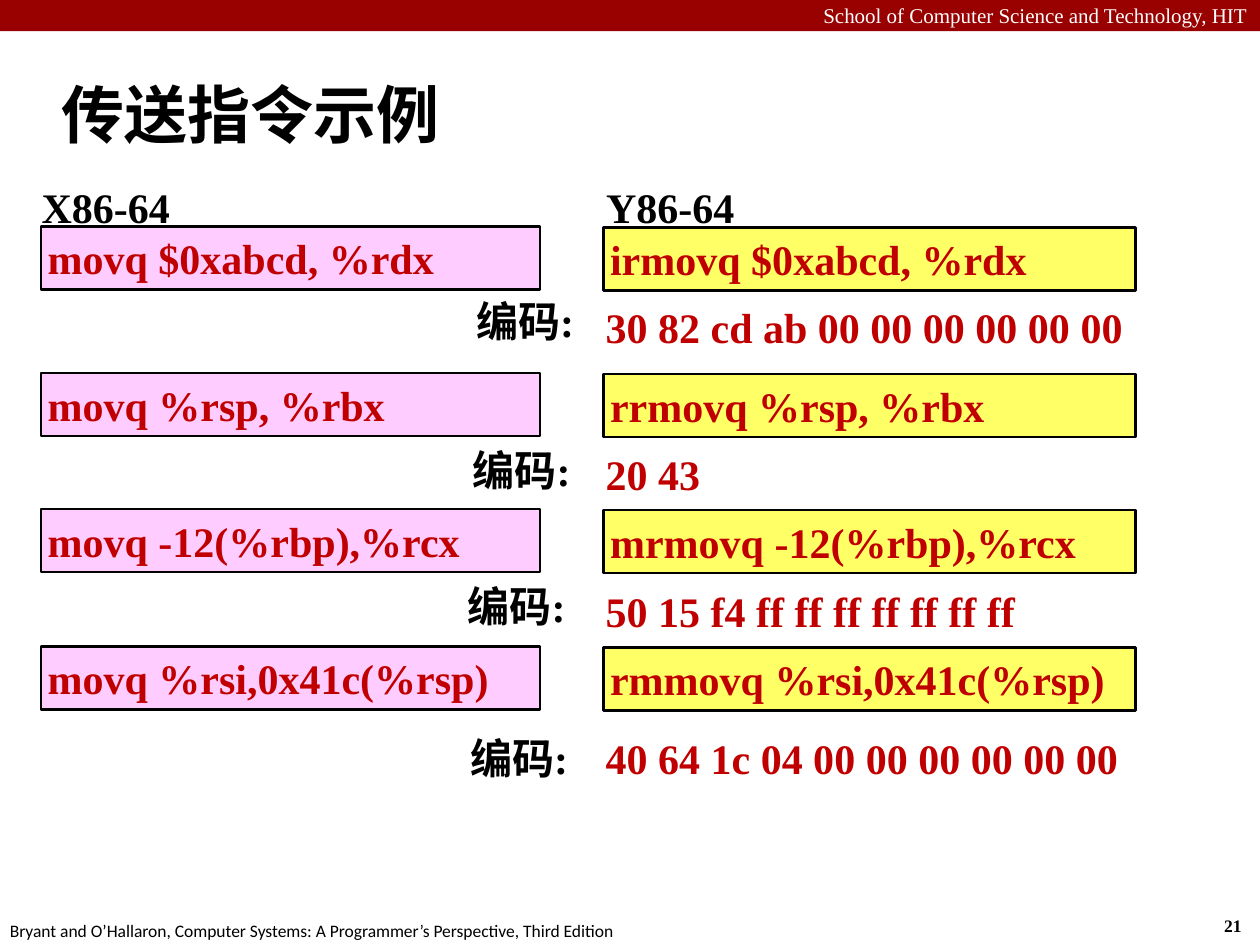
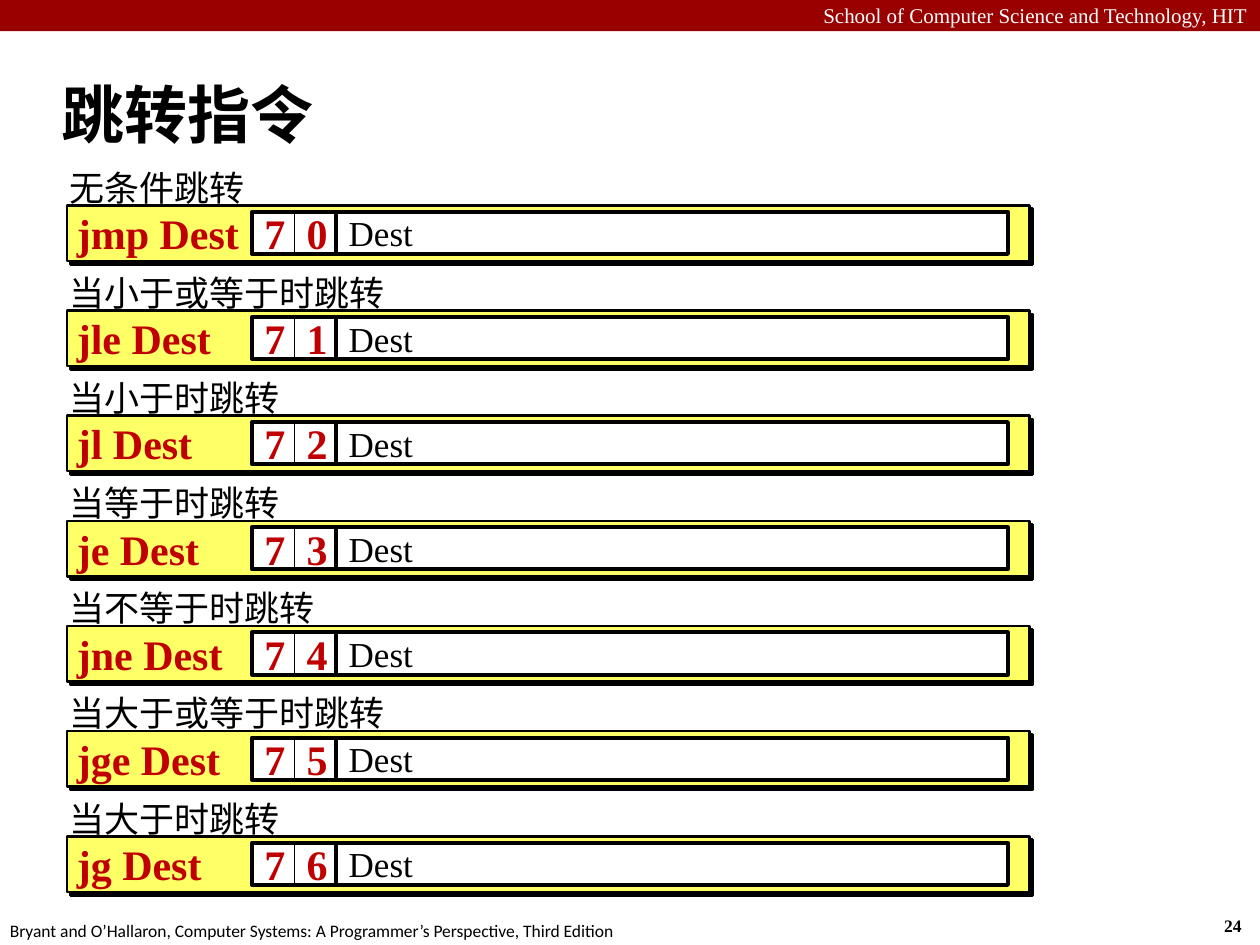
from lxml import etree
from pptx import Presentation
from pptx.dml.color import RGBColor
from pptx.enum import shapes, text
from pptx.oxml.ns import qn
from pptx.util import Cm, Pt

SCHOOL = "School of Computer Science and Technology, HIT"
BOOK = "Bryant and O’Hallaron, Computer Systems: A Programmer’s Perspective, Third Edition"

MOVES_TITLE, MOVES_PAGE = "传送指令示例", 21
ARCHITECTURES = [("X86-64", 0.71), ("Y86-64", 12.09)]
ENCODING = "编码:"
# x86 instruction, y86 instruction, bytes, row top, label left, label top, bytes top
MOVES = [
    ("movq $0xabcd, %rdx", "irmovq $0xabcd, %rdx", "30 82 cd ab 00 00 00 00 00 00", 4.57, 9.47, 5.82, 5.94),
    ("movq %rsp, %rbx", "rrmovq %rsp, %rbx", "20 43", 7.52, 9.4, 8.84, 8.92),
    ("movq -12(%rbp),%rcx", "mrmovq -12(%rbp),%rcx", "50 15 f4 ff ff ff ff ff ff ff", 10.26, 9.3, 11.58, 11.68),
    ("movq %rsi,0x41c(%rsp)", "rmmovq %rsi,0x41c(%rsp)", "40 64 1c 04 00 00 00 00 00 00", 13.03, 9.35, 14.63, 14.63),
]

JUMPS_TITLE, JUMPS_PAGE = "跳转指令", 24
JUMP_CODE, TARGET = "7", "Dest"
JUMPS = [
    ("jmp", "无条件跳转"),
    ("jle", "当小于或等于时跳转"),
    ("jl", "当小于时跳转"),
    ("je", "当等于时跳转"),
    ("jne", "当不等于时跳转"),
    ("jge", "当大于或等于时跳转"),
    ("jg", "当大于时跳转"),
]
JUMP_TOP, JUMP_PITCH = 4.14, 2.12
CELL = 0.85

BLACK = RGBColor(0x00, 0x00, 0x00)
WHITE = RGBColor(0xFF, 0xFF, 0xFF)
BAND_RED = RGBColor(0x99, 0x00, 0x00)
CODE_RED = RGBColor(0xC0, 0x00, 0x00)
PINK = RGBColor(0xFF, 0xCC, 0xFF)
YELLOW = RGBColor(0xFF, 0xFF, 0x66)
SERIF, SANS = "Times New Roman", "Calibri"
WIDE, TIGHT = (0.25, 0.13), (0.13, 0.13)


def write(part, words, size=24, color=BLACK, bold=False, font=SERIF, inset=WIDE,
          middle=False, wrap=False, grow=False, right=False):
    frame = part.text_frame
    frame.text = words
    frame.word_wrap = wrap
    frame.auto_size = text.MSO_AUTO_SIZE.SHAPE_TO_FIT_TEXT if grow else text.MSO_AUTO_SIZE.NONE
    frame.vertical_anchor = text.MSO_ANCHOR.MIDDLE if middle else text.MSO_ANCHOR.TOP
    frame.margin_left = frame.margin_right = Cm(inset[0])
    frame.margin_top = frame.margin_bottom = Cm(inset[1])
    line = frame.paragraphs[0]
    line.alignment = text.PP_ALIGN.RIGHT if right else text.PP_ALIGN.LEFT
    style = line.runs[0].font
    style.name, style.size, style.bold = font, Pt(size), bold
    style.color.rgb = color


def add_text(slide, at, words, **style):
    write(slide.shapes.add_textbox(*map(Cm, at)), words, **style)


def add_box(parent, at, fill=None, line=None):
    box = parent.shapes.add_shape(shapes.MSO_SHAPE.RECTANGLE, *map(Cm, at))
    box.shadow.inherit = False
    if fill is None:
        box.fill.background()
    else:
        box.fill.solid()
        box.fill.fore_color.rgb = fill
    if line is None:
        box.line.fill.background()
    else:
        box.line.color.rgb = BLACK
        box.line.width = Pt(line)
    return box


def add_hard_shadow(box):
    effects = box._element.spPr.find(qn("a:effectLst"))
    shadow = etree.SubElement(effects, qn("a:outerShdw"), dist=str(Pt(2.8)),
                              dir="2700000", algn="ctr", rotWithShape="0")
    etree.SubElement(shadow, qn("a:srgbClr"), val=str(BLACK))


def add_base(deck, title, page):
    slide = deck.slides.add_slide(deck.slide_layouts[6])
    add_box(slide, (0, 0, 25.4, 0.63), BAND_RED)
    add_text(slide, (0, -0.08, 25.4, 0.77), SCHOOL, size=12, color=WHITE,
             wrap=True, grow=True, right=True)
    add_text(slide, (24.43, 18.31, 0.94, 0.68), str(page), size=10, bold=True, grow=True)
    add_text(slide, (-0.05, 18.42, 12.9, 0.68), BOOK, size=10, font=SANS, grow=True)
    add_text(slide, (0.99, 1.24, 21.08, 2.11), title, size=36, bold=True, font=SANS,
             middle=True, wrap=True)
    return slide


def build_moves(deck):
    slide = add_base(deck, MOVES_TITLE, MOVES_PAGE)
    for name, left in ARCHITECTURES:
        add_text(slide, (left, 3.53, 2.87, 1.27), name, bold=True, inset=TIGHT, grow=True)
    for x86, y86, code, top, label_left, label_top, code_top in MOVES:
        for words, at, fill in (
            (x86, (0.83, top, 10.06, 1.27), PINK),
            (y86, (12.17, top + 0.02, 10.72, 1.27), YELLOW),
        ):
            write(add_box(slide, at, fill, 1.5), words, color=CODE_RED, bold=True,
                  inset=TIGHT, middle=True, wrap=True, grow=True)
        add_text(slide, (label_left, label_top, 3.02, 1.27), ENCODING, bold=True,
                 inset=TIGHT, wrap=True, grow=True)
        add_text(slide, (11.96, code_top, 11.5, 0.84), code, color=CODE_RED, bold=True)


def build_jumps(deck):
    slide = add_base(deck, JUMPS_TITLE, JUMPS_PAGE)
    code_style = dict(color=CODE_RED, bold=True, middle=True)
    for number, (jump, meaning) in enumerate(JUMPS):
        top = JUMP_TOP + number * JUMP_PITCH
        inner = top + 0.13
        add_hard_shadow(add_box(slide, (1.35, top, 19.4, 1.12), YELLOW, 1.5))
        add_text(slide, (1.3, inner, 3.1, CELL), f"{jump} {TARGET}", **code_style)
        opcode = slide.shapes.add_group_shape()
        for column, digit in enumerate((JUMP_CODE, str(number))):
            cell = add_box(opcode, (5.08 + column * CELL, inner, CELL, CELL), WHITE, 0.5)
            write(cell, digit, **code_style)
        add_box(opcode, (5.08, inner, 2 * CELL, CELL), line=2.25)
        add_text(slide, (1.27, top - 0.92, 0.27 + 0.71 * len(meaning), 1.12), meaning,
                 size=20, inset=TIGHT, grow=True)
        write(add_box(slide, (5.08 + 2 * CELL, inner, 13.54, CELL), WHITE, 2.25), TARGET,
              size=20, middle=True)


def main():
    deck = Presentation()
    deck.slide_width, deck.slide_height = Cm(25.4), Cm(19.05)
    build_moves(deck)
    build_jumps(deck)
    deck.save("out.pptx")


if __name__ == "__main__":
    main()
